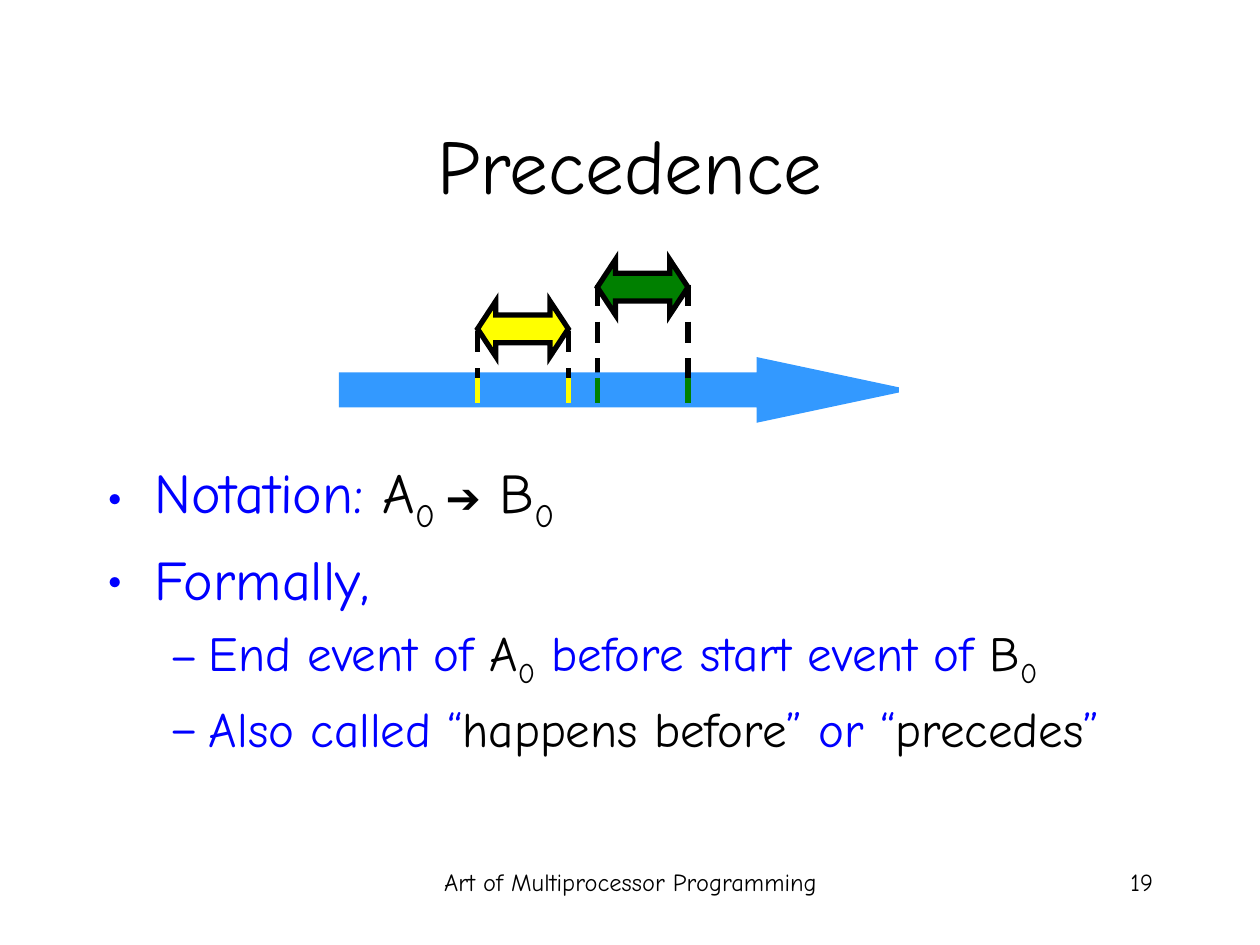
"""Build the Precedence slide: two intervals on a time arrow, and the notation."""
from dataclasses import dataclass

from lxml import etree
from pptx import Presentation
from pptx import util as u
from pptx.dml.color import RGBColor
from pptx.enum import dml, shapes, text
from pptx.oxml import ns


@dataclass(frozen=True)
class Theme:
    font: str = "Comic Neue"
    ink: str = "000000"
    accent: str = "0000FF"
    timeline: str = "3399FF"
    first: str = "FFFF00"
    second: str = "008000"
    title: int = 44
    body: int = 32
    detail: int = 28
    symbol: int = 24
    footer: int = 14
    stroke: int = 3


THEME = Theme()
COLUMNS, ROWS = 100, 75
ALIGN = text.PP_ALIGN


def write(para, words, size, color=THEME.ink, subscript=False):
    span = para.add_run()
    span.text = words
    span.font.name = THEME.font
    span.font.size = u.Pt(size)
    span.font.color.rgb = RGBColor.from_string(color)
    if subscript:
        span.font._element.set("baseline", "-25000")


def add_xml(parent, tag, **attributes):
    return etree.SubElement(parent, ns.qn(tag), attributes)


class SlideBuilder:
    def __init__(self, deck, theme):
        self.theme = theme
        self.slide = deck.slides.add_slide(deck.slide_layouts[6])
        self.column = deck.slide_width / COLUMNS
        self.row = deck.slide_height / ROWS

    def place(self, *lengths):
        units = (self.column, self.row) * 2
        return [u.Emu(round(n * unit)) for n, unit in zip(lengths, units)]

    def stroke(self, line, color):
        line.color.rgb = RGBColor.from_string(color)
        line.width = u.Pt(self.theme.stroke)

    def frame(self, at, anchor=text.MSO_ANCHOR.TOP):
        box = self.slide.shapes.add_textbox(*self.place(*at)).text_frame
        box.word_wrap = True
        box.vertical_anchor = anchor
        return box

    def label(self, words, at, size, align, anchor=text.MSO_ANCHOR.TOP):
        para = self.frame(at, anchor).paragraphs[0]
        para.alignment = align
        write(para, words, size)

    def arrow(self, kind, at, adjustments, fill, outline):
        shape = self.slide.shapes.add_shape(kind, *self.place(*at))
        shape.shadow.inherit = False
        for index, value in enumerate(adjustments):
            shape.adjustments[index] = value
        shape.fill.solid()
        shape.fill.fore_color.rgb = RGBColor.from_string(fill)
        self.stroke(shape.line, outline)
        add_xml(shape.line._ln, "a:miter", lim="800000")

    def upright(self, x, top, bottom, color, dashed=False):
        line = self.slide.shapes.add_connector(
            shapes.MSO_CONNECTOR.STRAIGHT, *self.place(x, top, x, bottom))
        self.stroke(line.line, color)
        if dashed:
            line.line.dash_style = dml.MSO_LINE.DASH
        add_xml(line._element.spPr, "a:effectLst")

    def bullets(self, at, items):
        box = self.frame(at)
        for index, (level, spans) in enumerate(items):
            para = box.add_paragraph() if index else box.paragraphs[0]
            size = (self.theme.body, self.theme.detail)[level]
            margin, hang, mark = ((0.38, 0.38, "•"), (0.81, 0.31, "–"))[level]
            para.level = level
            para.space_before = u.Pt(size * 0.2)
            properties = para._p.get_or_add_pPr()
            properties.set("marL", str(u.Inches(margin)))
            properties.set("indent", str(-u.Inches(hang)))
            color = add_xml(properties, "a:buClr")
            add_xml(color, "a:srgbClr", val=self.theme.accent)
            add_xml(properties, "a:buFont", typeface=self.theme.font)
            add_xml(properties, "a:buChar", char=mark)
            for words, style in spans:
                write(para, words, **{"size": size, **style})


def main():
    deck = Presentation()
    deck.slide_width, deck.slide_height = u.Inches(10), u.Inches(7.5)
    page = SlideBuilder(deck, THEME)
    middle = text.MSO_ANCHOR.MIDDLE
    page.label("Art of Multiprocessor Programming", (34.2, 68.3, 31.7, 5),
               THEME.footer, ALIGN.CENTER)
    page.label("19", (71.7, 68.3, 20.8, 5), THEME.footer, ALIGN.RIGHT)
    page.label("Precedence", (7.5, 6.7, 85, 12.5), THEME.title, ALIGN.CENTER, middle)

    span, height, mark_top, mark_bottom = 7.2, 4.4, 30, 32
    first, second = 37.9, 47.4
    page.upright(second, 22.6, mark_bottom, THEME.ink, dashed=True)
    page.arrow(shapes.MSO_SHAPE.RIGHT_ARROW, (27.1, 28.6, 44.2, 4.7),
               (0.5, 2.35), THEME.timeline, THEME.timeline)
    for x in (first, first + span):
        page.upright(x, 26.3, mark_top, THEME.ink, dashed=True)
    page.upright(second + span, 22.6, mark_bottom, THEME.ink, dashed=True)
    for left, top, color in ((first, 23.9, THEME.first), (second, 20.6, THEME.second)):
        page.arrow(shapes.MSO_SHAPE.LEFT_RIGHT_ARROW, (left, top, span, height),
                   (0.5, 0.33), color, THEME.ink)
        for x in (left, left + span):
            page.upright(x, mark_top, mark_bottom, color)

    blue, plain, low = {"color": THEME.accent}, {}, {"subscript": True}
    page.bullets((7.5, 35.8, 85, 30.8), [
        (0, [("Notation: ", blue), ("A", plain), ("0 ", low),
             ("➔", {"size": THEME.symbol}), (" B", plain), ("0", low)]),
        (0, [("Formally,", blue)]),
        (1, [("End event of ", blue), ("A", plain), ("0", low),
             (" before start event of ", blue), ("B", plain), ("0", low)]),
        (1, [("Also called “", blue), ("happens before", plain),
             ("” or “", blue), ("precedes", plain), ("”", blue)]),
    ])
    deck.save("out.pptx")


if __name__ == "__main__":
    main()
